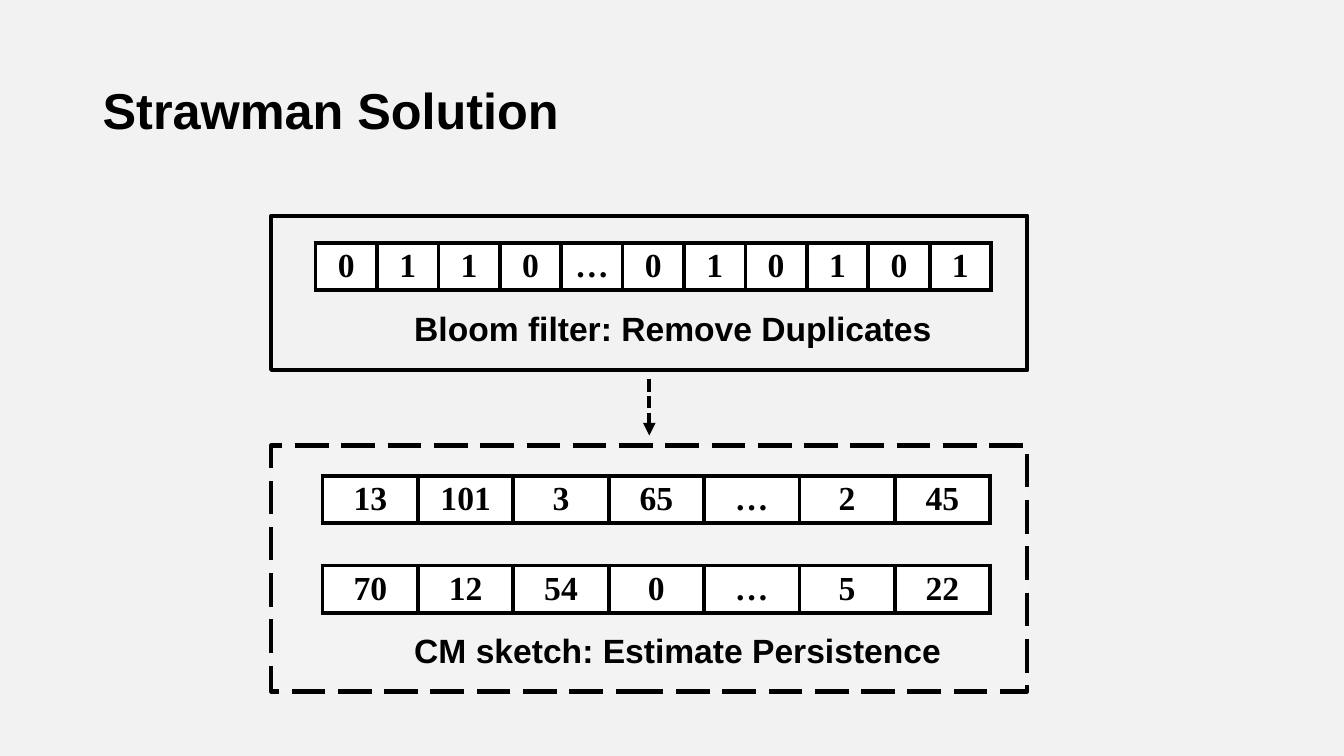
from dataclasses import dataclass
from typing import Optional

from lxml import etree
from pptx import Presentation, util as u
from pptx.dml import color
from pptx.enum import dml, shapes, text
from pptx.oxml import ns

BLACK, WHITE, BACKGROUND = "000000", "FFFFFF", "F2F2F2"
LINE_WIDTH = 3
ROW_HEIGHT = 0.47
PANEL_LEFT, PANEL_WIDTH = 2.69, 7.5


@dataclass
class Panel:
    top: float
    height: float
    dash: Optional[dml.MSO_LINE] = None
    opacity: Optional[int] = None  # percent; None means no fill


@dataclass
class Counters:
    left: float
    top: float
    width: float
    values: list[str]


@dataclass
class Label:
    wording: str
    left: float
    top: float
    width: float
    height: float
    size: int = 24
    spacing: float = 1.0
    anchor: text.MSO_ANCHOR = text.MSO_ANCHOR.TOP


PANELS = [
    Panel(2.14, 1.53),
    Panel(4.42, 2.44, dml.MSO_LINE.LONG_DASH, 10),
]
COUNTERS = [
    Counters(3.13, 2.41, 6.7, "0 1 1 0 … 0 1 0 1 0 1".split()),
    Counters(3.2, 4.72, 6.62, "13 101 3 65 … 2 45".split()),
    Counters(3.2, 5.61, 6.62, "70 12 54 0 … 5 22".split()),
]
LABELS = [
    Label("Strawman Solution", 0.92, 0.4, 11.5, 1.45, 36, 0.9, text.MSO_ANCHOR.MIDDLE),
    Label("Bloom filter: Remove Duplicates", 4.01, 3.01, 6.07, 0.5),
    Label("CM sketch: Estimate Persistence", 4.01, 6.2, 6.07, 0.5),
]


def rgb(value: str) -> color.RGBColor:
    return color.RGBColor.from_string(value)


def sub(parent, tag: str, **attributes: str):
    return etree.SubElement(parent, ns.qn(tag), attributes)


def paint(fill, value: str) -> None:
    fill.solid()
    fill.fore_color.rgb = rgb(value)


def style_line(line, dash: Optional[dml.MSO_LINE]) -> None:
    paint(line.fill, BLACK)
    line.width = u.Pt(LINE_WIDTH)
    if dash is not None:
        line.dash_style = dash


def write(paragraph, wording: str, font_name: str, size: int) -> None:
    run = paragraph.add_run()
    run.text = wording
    run.font.name = font_name
    run.font.size = u.Pt(size)
    run.font.bold = True
    run.font.color.rgb = rgb(BLACK)


def draw_panel(slide, panel: Panel) -> None:
    box = slide.shapes.add_shape(
        shapes.MSO_SHAPE.RECTANGLE, u.Inches(PANEL_LEFT), u.Inches(panel.top),
        u.Inches(PANEL_WIDTH), u.Inches(panel.height))
    box.shadow.inherit = False
    style_line(box.line, panel.dash)
    if panel.opacity is None:
        box.fill.background()
    else:
        paint(box.fill, WHITE)
        fill_color = box.fill._xPr.find(".//" + ns.qn("a:srgbClr"))
        sub(fill_color, "a:alpha", val=str(panel.opacity * 1000))


def draw_arrow(slide, x: float, top: float, bottom: float) -> None:
    arrow = slide.shapes.add_connector(
        shapes.MSO_CONNECTOR.STRAIGHT, u.Inches(x), u.Inches(top), u.Inches(x), u.Inches(bottom))
    style_line(arrow.line, dml.MSO_LINE.SQUARE_DOT)
    # python-pptx's SQUARE_DOT is the sysDot pattern; sysDash is set directly
    outline = arrow.line._get_or_add_ln()
    outline.find(ns.qn("a:prstDash")).set("val", "sysDash")
    sub(outline, "a:tailEnd", type="triangle")
    sub(arrow._element.spPr, "a:effectLst")


def add_borders(cell) -> None:
    properties = cell._tc.get_or_add_tcPr()
    for side in "LRTB":
        border = sub(properties, f"a:ln{side}", w=str(u.Pt(LINE_WIDTH)))
        sub(sub(border, "a:solidFill"), "a:srgbClr", val=BLACK)


def draw_counters(slide, counters: Counters) -> None:
    table = slide.shapes.add_table(
        1, len(counters.values), u.Inches(counters.left), u.Inches(counters.top),
        u.Inches(counters.width), u.Inches(ROW_HEIGHT)).table
    table.first_row = table.horz_banding = False
    for cell, value in zip(table.iter_cells(), counters.values):
        cell.margin_left = cell.margin_right = u.Inches(0.05)
        cell.margin_top = cell.margin_bottom = u.Inches(0.04)
        cell.vertical_anchor = text.MSO_ANCHOR.MIDDLE
        add_borders(cell)
        paint(cell.fill, WHITE)
        paragraph = cell.text_frame.paragraphs[0]
        paragraph.alignment = text.PP_ALIGN.CENTER
        write(paragraph, value, "Times New Roman", 24)


def draw_label(slide, label: Label) -> None:
    frame = slide.shapes.add_textbox(
        u.Inches(label.left), u.Inches(label.top),
        u.Inches(label.width), u.Inches(label.height)).text_frame
    frame.word_wrap = True
    frame.vertical_anchor = label.anchor
    paragraph = frame.paragraphs[0]
    paragraph.line_spacing = label.spacing
    write(paragraph, label.wording, "Arial", label.size)


def main() -> None:
    deck = Presentation()
    deck.slide_width, deck.slide_height = u.Inches(13.33), u.Inches(7.5)
    slide = deck.slides.add_slide(deck.slide_layouts[6])
    paint(slide.background.fill, BACKGROUND)

    # Filter and sketch panels, joined by the arrow
    for panel in PANELS:
        draw_panel(slide, panel)
    draw_arrow(slide, PANEL_LEFT + PANEL_WIDTH / 2, 3.76, 4.32)

    # Bit array and counter rows
    for counters in COUNTERS:
        draw_counters(slide, counters)

    # Title and panel captions
    for label in LABELS:
        draw_label(slide, label)

    deck.save("out.pptx")


if __name__ == "__main__":
    main()
